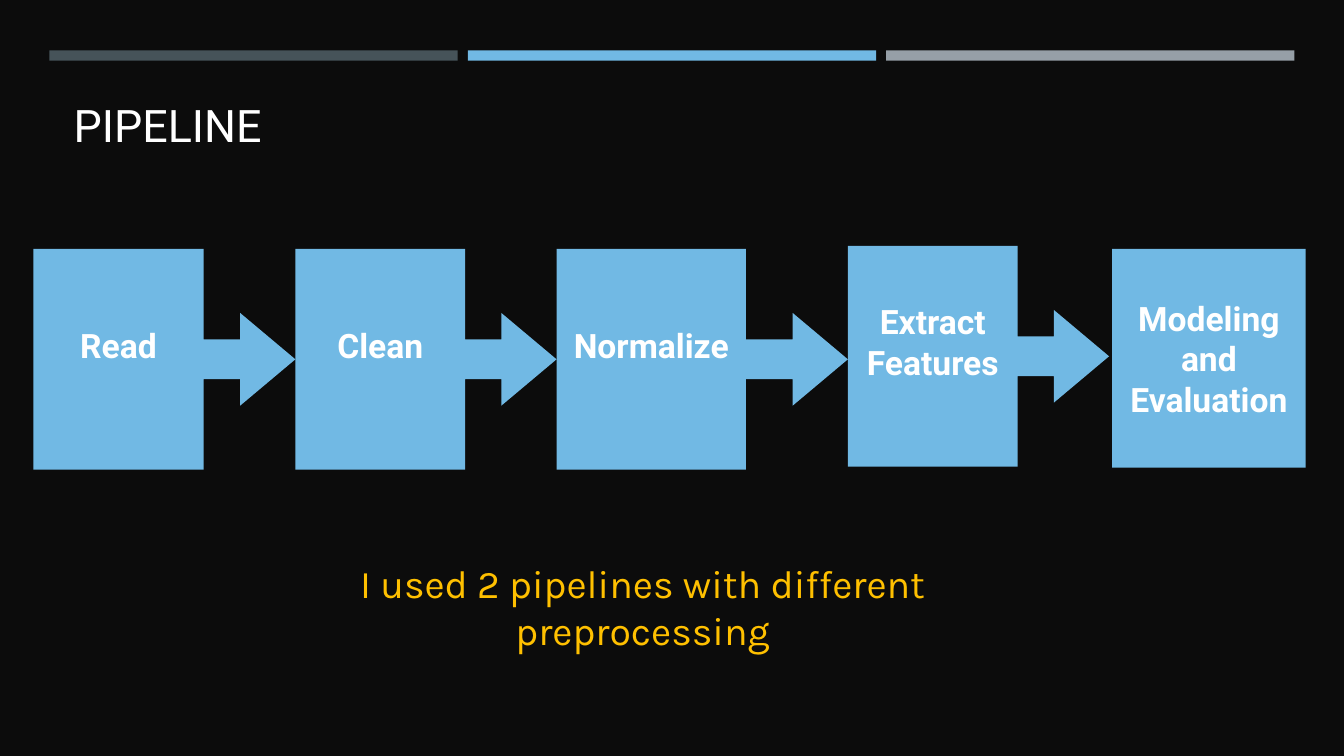
from pptx import Presentation
from pptx.dml.color import RGBColor
from pptx.enum.shapes import MSO_SHAPE
from pptx.enum.text import MSO_ANCHOR, PP_ALIGN
from pptx.util import Inches, Pt

RECT = MSO_SHAPE.RECTANGLE
CALLOUT = MSO_SHAPE.RIGHT_ARROW_CALLOUT
LEFT, CENTER = PP_ALIGN.LEFT, PP_ALIGN.CENTER
TOP, MIDDLE, BOTTOM = MSO_ANCHOR.TOP, MSO_ANCHOR.MIDDLE, MSO_ANCHOR.BOTTOM

COLORS = {
    "background": "0C0C0C",
    "slate": "465359",
    "blue": "71B9E4",
    "gray": "969FA7",
    "white": "FFFFFF",
    "amber": "FFC000",
}
CALLOUT_ADJUSTMENTS = (0.18, 0.21, 0.25, 0.65)


class Deck:
    heading_font = "Roboto"
    caption_font = "Karla"

    def __init__(self):
        self.prs = Presentation()
        self.prs.slide_width = Inches(13.33)
        self.prs.slide_height = Inches(7.5)

    def color(self, name):
        return RGBColor.from_string(COLORS[name])

    def box(self, x, y, w, h):
        width, height = self.prs.slide_width, self.prs.slide_height
        return (int(width * x / 100), int(height * y / 100),
                int(width * w / 100), int(height * h / 100))

    def new_slide(self):
        self.s = self.prs.slides.add_slide(self.prs.slide_layouts[5])
        fill = self.s.background.fill
        fill.solid()
        fill.fore_color.rgb = self.color("background")

    def add_text(self, sp, lines, size, font, color, align, anchor, bold=False):
        tf = sp.text_frame
        tf.word_wrap = True
        tf.vertical_anchor = anchor
        for i, line in enumerate(lines):
            p = tf.add_paragraph() if i else tf.paragraphs[0]
            p.alignment = align
            r = p.add_run()
            r.text = line
            r.font.size = Pt(size)
            r.font.name = font
            r.font.bold = bold
            r.font.color.rgb = self.color(color)

    def title(self, text, *area):
        sp = self.s.shapes.title
        sp.left, sp.top, sp.width, sp.height = self.box(*area)
        self.add_text(sp, [text], 32, self.heading_font, "white", LEFT, BOTTOM)

    def caption(self, text, *area):
        sp = self.s.shapes.add_textbox(*self.box(*area))
        self.add_text(sp, [text], 28, self.caption_font, "amber", CENTER, TOP)

    def shape(self, kind, color, *area):
        sp = self.s.shapes.add_shape(kind, *self.box(*area))
        sp.shadow.inherit = False
        sp.fill.solid()
        sp.fill.fore_color.rgb = self.color(color)
        sp.line.fill.background()
        return sp

    def step(self, kind, lines, *area):
        sp = self.shape(kind, "blue", *area)
        if kind == CALLOUT:
            for i, value in enumerate(CALLOUT_ADJUSTMENTS):
                sp.adjustments[i] = value
            sp.text_frame.margin_bottom = Inches(0.34)
        self.add_text(sp, lines, 24, self.heading_font, "white", CENTER, MIDDLE, True)


def main():
    deck = Deck()
    deck.new_slide()

    for i, color in enumerate(("slate", "blue", "gray")):
        deck.shape(RECT, color, 3.68 + 31.13 * i, 6.67, 30.38, 1.36)

    deck.title("PIPELINE", 4.73, 13.2, 34.43, 7.47)

    steps = (
        (["Read"], 32.93, 19.5),
        (["Clean"], 32.93, 19.43),
        (["Normalize"], 32.93, 21.68),
        (["Extract", "Features"], 32.53, 19.43),
    )
    x = 2.48
    for lines, y, w in steps:
        deck.step(CALLOUT, lines, x, y, w, 29.2)
        x += w
    deck.step(RECT, ["Modeling", "and", "Evaluation"], x + 0.23, 32.93, 14.4, 28.93)

    deck.caption("I used 2 pipelines with different preprocessing", 18.6, 73.33, 58.43, 7.6)
    deck.prs.save("out.pptx")


if __name__ == "__main__":
    main()
